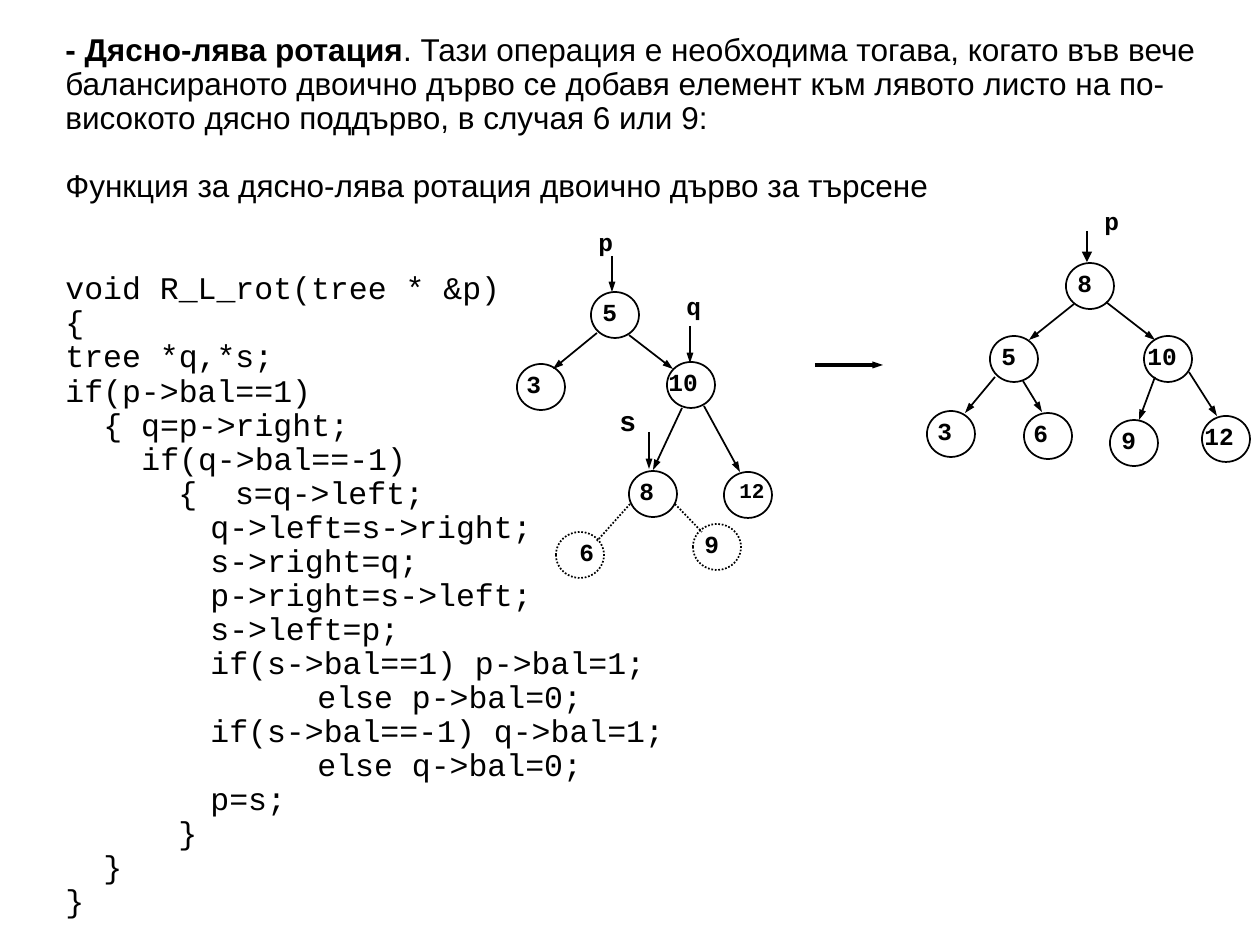
from dataclasses import dataclass
from lxml.etree import SubElement
from pptx import Presentation
from pptx.dml.color import RGBColor
from pptx.enum.dml import MSO_LINE
from pptx.enum.shapes import MSO_CONNECTOR, MSO_SHAPE
from pptx.enum.text import MSO_ANCHOR
from pptx.oxml.ns import qn
from pptx.util import Emu, Inches, Pt

BLACK = "000000"
MONO = "Courier New"
LINE = 19.45  # line pitch of the main text, pt
NODE_W, NODE_H = 48, 46


@dataclass
class Node:
    x: int
    y: int
    key: str
    dx: int = -1  # label offset from the node's left edge
    size: int = 14
    dots: bool = False


@dataclass
class Link:
    x1: int
    y1: int
    x2: int
    y2: int
    width: float = 1
    head: str = "sm"  # arrowhead width, empty for none
    dots: bool = False


@dataclass
class Mark:
    x: int
    y: int
    name: str
    size: int = 14


INTRO = (". Тази операция е необходима тогава, когато във вече балансираното двоично дърво "
         "се добавя елемент към лявото листо на по-високото дясно поддърво, в случая 6 или 9:")
# Code lines with their left indent in px
CODE = [
    (0, "void R_L_rot(tree * &p)"),
    (0, "{"),
    (0, "tree *q,*s;"),
    (0, "if(p->bal==1)"),
    (38, "{ q=p->right;"),
    (76, "if(q->bal==-1)"),
    (113, "{  s=q->left;"),
    (145, "q->left=s->right;"),
    (145, "s->right=q;"),
    (145, "p->right=s->left;"),
    (145, "s->left=p;"),
    (145, "if(s->bal==1) p->bal=1;"),
    (252, "else p->bal=0;"),
    (145, "if(s->bal==-1) q->bal=1;"),
    (252, "else q->bal=0;"),
    (145, "p=s;"),
    (113, "}"),
    (38, "}"),
    (0, "}"),
]
NODES = [
    # Tree before the rotation
    Node(591, 292, "5"), Node(517, 364, "3", -3), Node(667, 362, "10", -11),
    Node(629, 471, "8", -2), Node(724, 472, "12", 3, 12),
    Node(556, 532, "6", 11, dots=True), Node(693, 524, "9", dots=True),
    # Tree after the rotation
    Node(1066, 263, "8"), Node(990, 336, "5"), Node(1144, 336, "10", -9),
    Node(927, 411, "3", -2), Node(1024, 413, "6", -3),
    Node(1110, 420, "9"), Node(1202, 416, "12", -10),
]
LINKS = [
    # Tree before the rotation
    Link(597, 333, 553, 369), Link(629, 335, 673, 369),
    Link(682, 408, 653, 470), Link(704, 406, 740, 472),
    Link(630, 504, 597, 541, head="", dots=True),
    Link(675, 504, 702, 532, head="", dots=True),
    # Tree after the rotation
    Link(1074, 304, 1029, 340), Link(1106, 302, 1155, 340),
    Link(995, 377, 965, 413), Link(1023, 381, 1042, 412),
    Link(1155, 377, 1139, 420), Link(1189, 372, 1217, 416),
    # Pointers and the step between the trees
    Link(612, 256, 612, 292), Link(690, 326, 690, 363), Link(649, 432, 649, 469),
    Link(1087, 231, 1087, 262, 0.75, "med"), Link(815, 365, 883, 365, 2),
]
MARKS = [Mark(586, 221, "p"), Mark(674, 285, "q"), Mark(607, 397, "s", 16),
         Mark(1092, 200, "p")]


def px(n: int) -> Emu:
    return Emu(round(n * 914400 / 126))


def rgb(code: str) -> RGBColor:
    return RGBColor.from_string(code)


def add_run(para, text: str, size: int, face: str, bold: bool = False) -> None:
    run = para.add_run()
    run.text = text
    font = run.font
    font.size, font.name, font.bold = Pt(size), face, bold
    font.color.rgb = rgb(BLACK)


def add_box(slide, x: int, y: int, w: int, h: int):
    frame = slide.shapes.add_textbox(px(x), px(y), px(w), px(h)).text_frame
    frame.word_wrap = True
    return frame


def style(line, width: float, dots: bool) -> None:
    line.color.rgb = rgb(BLACK)
    line.width = Pt(width)
    if dots:
        line.dash_style = MSO_LINE.ROUND_DOT


def draw_mark(slide, mark: Mark) -> None:
    frame = add_box(slide, mark.x, mark.y, 68, 47)
    add_run(frame.paragraphs[0], mark.name, mark.size, MONO, True)


def draw_node(slide, node: Node) -> None:
    oval = slide.shapes.add_shape(MSO_SHAPE.OVAL, px(node.x), px(node.y),
                                  px(NODE_W), px(NODE_H))
    oval.shadow.inherit = False
    oval.fill.background()
    style(oval.line, 1, node.dots)
    draw_mark(slide, Mark(node.x + node.dx, node.y - 1, node.key, node.size))


def draw_link(slide, link: Link) -> None:
    wire = slide.shapes.add_connector(MSO_CONNECTOR.STRAIGHT, px(link.x1), px(link.y1),
                                      px(link.x2), px(link.y2))
    style(wire.line, link.width, link.dots)
    props = wire.element.spPr
    if link.head:
        SubElement(props.find(qn("a:ln")), qn("a:tailEnd"),
                   type="triangle", w=link.head, len="med")
    SubElement(props, qn("a:effectLst"))


def next_para(frame, gap: int = 0):
    para = frame.add_paragraph()
    para.line_spacing = Pt(LINE)
    para.space_before = Pt(gap * LINE)
    return para


def draw_text(slide) -> None:
    frame = add_box(slide, 53, 84, 1156, 819)
    frame.vertical_anchor = MSO_ANCHOR.MIDDLE
    frame.margin_bottom = Inches(0.32)
    # Explanation
    para = frame.paragraphs[0]
    para.line_spacing = Pt(LINE)
    add_run(para, "- Дясно-лява ротация", 18, "Arial", True)
    add_run(para, INTRO, 18, "Arial")
    add_run(next_para(frame, 1), "Функция за дясно-лява ротация двоично дърво за търсене",
            18, "Arial")
    # Code
    for i, (dent, text) in enumerate(CODE):
        para = next_para(frame, 0 if i else 2)
        props = para._p.get_or_add_pPr()
        props.set("marL", str(px(dent)))
        props.set("indent", "0")
        add_run(para, text, 18, MONO)


def main() -> None:
    deck = Presentation()
    deck.slide_width, deck.slide_height = Inches(10), Inches(7.5)
    slide = deck.slides.add_slide(deck.slide_layouts[6])
    draw_text(slide)
    for link in LINKS:
        draw_link(slide, link)
    for node in NODES:
        draw_node(slide, node)
    for mark in MARKS:
        draw_mark(slide, mark)
    deck.save("out.pptx")


if __name__ == "__main__":
    main()
